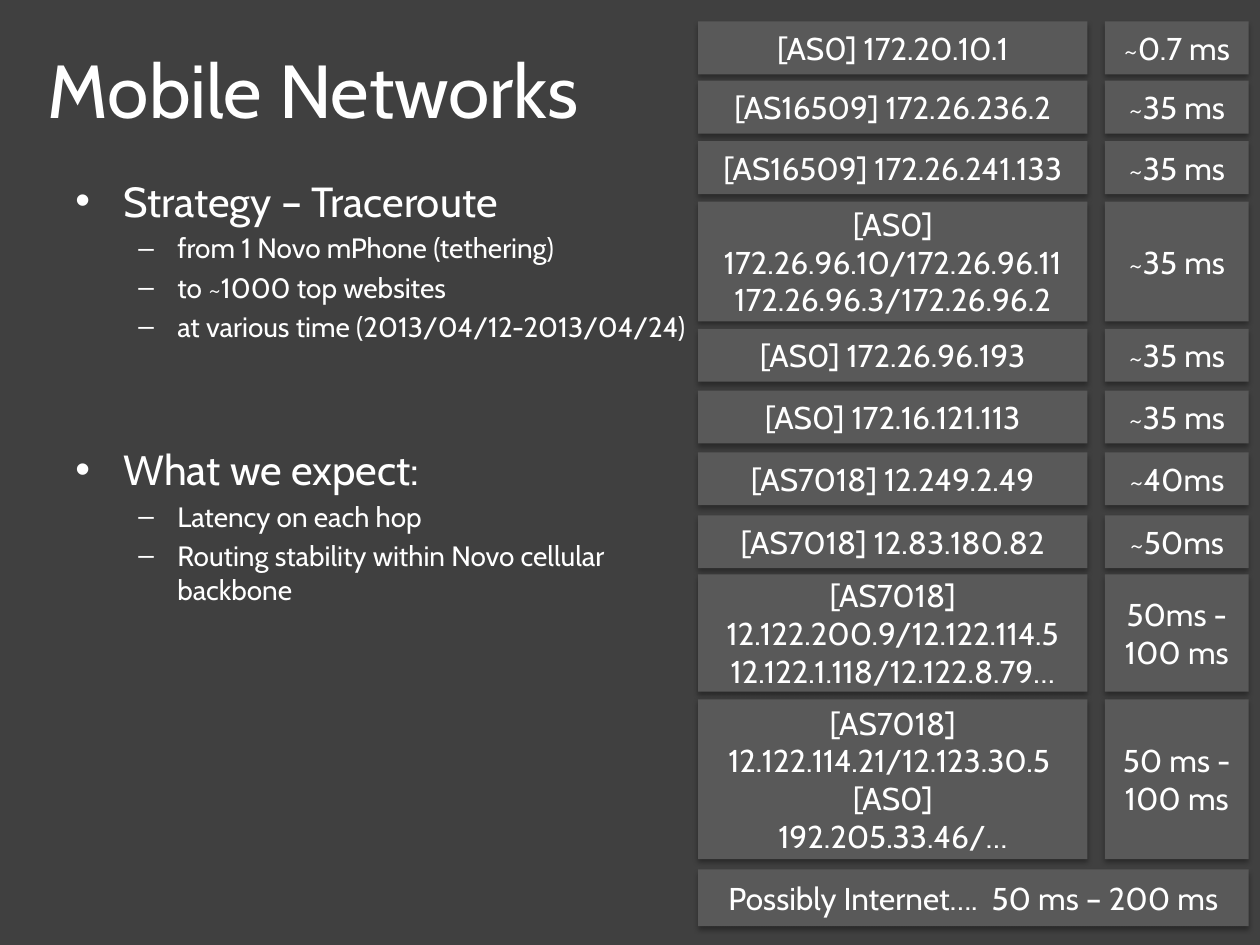
from dataclasses import dataclass

import lxml.etree
import pptx
import pptx.dml.color
import pptx.enum.shapes
import pptx.enum.text
import pptx.oxml
import pptx.oxml.ns
import pptx.util

COLORS = {"background": "404040", "panel": "595959", "text": "FFFFFF", "shadow": "000000"}
FONT = "Cabin"
CELL = pptx.util.Inches(0.1)  # the slide is a grid of 100 columns by 75 rows
ADDRESS_COLUMN, ADDRESS_WIDTH = 55.4, 30.9
LATENCY_COLUMN, LATENCY_WIDTH = 87.7, 11.4
SINGLE = 4.2
MIDDLE = pptx.enum.text.MSO_ANCHOR.MIDDLE


@dataclass
class Hop:
    row: float
    addresses: list[str]
    latency: list[str]
    height: float = SINGLE


@dataclass
class Level:
    size: float
    bullet: str
    margin: float
    hanging: float


@dataclass
class Topic:
    row: float
    heading: str
    details: list[str]


HEADING = Level(24, "•", 0.38, 0.38)
DETAIL = Level(16, "–", 0.81, 0.31)

TOPICS = [
    Topic(13.4, "Strategy – Traceroute", [
        "from 1 Novo mPhone (tethering)",
        "to ~1000 top websites",
        "at various time (2013/04/12-2013/04/24)",
    ]),
    Topic(34.7, "What we expect:", [
        "Latency on each hop",
        "Routing stability within Novo cellular backbone",
    ]),
]

HOPS = [
    Hop(1.7, ["[AS0] 172.20.10.1"], ["~0.7 ms"]),
    Hop(6.4, ["[AS16509] 172.26.236.2"], ["~35 ms"]),
    Hop(11.2, ["[AS16509] 172.26.241.133"], ["~35 ms"]),
    Hop(16, ["[AS0] 172.26.96.10/172.26.96.11", "172.26.96.3/172.26.96.2"], ["~35 ms"], 9.5),
    Hop(26.1, ["[AS0] 172.26.96.193"], ["~35 ms"]),
    Hop(31, ["[AS0] 172.16.121.113"], ["~35 ms"]),
    Hop(35.9, ["[AS7018] 12.249.2.49"], ["~40ms"]),
    Hop(40.9, ["[AS7018] 12.83.180.82"], ["~50ms"]),
    Hop(45.6, ["[AS7018]", "12.122.200.9/12.122.114.5", "12.122.1.118/12.122.8.79…"],
        ["50ms -", "100 ms"], 9.3),
    Hop(55.5, ["[AS7018]", "12.122.114.21/12.123.30.5 ", "[AS0]", "192.205.33.46/…"],
        ["50 ms -", "100 ms"], 12.7),
]


def cells(*counts: float) -> list[int]:
    return [round(count * CELL) for count in counts]


def rgb(name: str) -> pptx.dml.color.RGBColor:
    return pptx.dml.color.RGBColor.from_string(COLORS[name])


def apply(target, formats: dict) -> None:
    for name, value in formats.items():
        setattr(target, name, value)


def write(paragraph, text: str, size: float) -> None:
    run = paragraph.add_run()
    run.text = text
    apply(run.font, {"name": FONT, "size": pptx.util.Pt(size)})
    run.font.color.rgb = rgb("text")


def add_shadow(shape) -> None:
    namespace = pptx.oxml.ns.nsdecls("a")
    shape._element.spPr.append(pptx.oxml.parse_xml(
        f'<a:effectLst {namespace}><a:outerShdw blurRad="{pptx.util.Pt(3.1)}" '
        f'dist="{pptx.util.Pt(1.8)}" dir="5400000" rotWithShape="0">'
        f'<a:srgbClr val="{COLORS["shadow"]}"><a:alpha val="35000"/></a:srgbClr>'
        "</a:outerShdw></a:effectLst>"))


def add_panel(slide, column: float, row: float, width: float, height: float,
              lines: list[str]) -> None:
    shape = slide.shapes.add_shape(pptx.enum.shapes.MSO_SHAPE.RECTANGLE,
                                   *cells(column, row, width, height))
    shape.fill.solid()
    shape.fill.fore_color.rgb = rgb("panel")
    shape.line.fill.background()
    add_shadow(shape)
    frame = shape.text_frame
    apply(frame, {"word_wrap": True, "vertical_anchor": MIDDLE})
    for index, line in enumerate(lines):
        paragraph = frame.add_paragraph() if index else frame.paragraphs[0]
        paragraph.alignment = pptx.enum.text.PP_ALIGN.CENTER
        write(paragraph, line, 18)


def add_bullet(paragraph, level: Level) -> None:
    properties = paragraph._p.get_or_add_pPr()
    properties.set("marL", str(pptx.util.Inches(level.margin)))
    properties.set("indent", str(-pptx.util.Inches(level.hanging)))
    font = lxml.etree.SubElement(properties, pptx.oxml.ns.qn("a:buFont"))
    font.set("typeface", "Arial")
    bullet = lxml.etree.SubElement(properties, pptx.oxml.ns.qn("a:buChar"))
    bullet.set("char", level.bullet)


def add_topic(slide, topic: Topic) -> None:
    box = slide.shapes.add_textbox(*cells(5, topic.row, 50.4, 25))
    frame = box.text_frame
    frame.word_wrap = True
    entries = [(topic.heading, HEADING)] + [(detail, DETAIL) for detail in topic.details]
    for index, (text, level) in enumerate(entries):
        paragraph = frame.add_paragraph() if index else frame.paragraphs[0]
        apply(paragraph, {"level": int(level is DETAIL),
                          "space_before": pptx.util.Pt(level.size * 0.2)})
        add_bullet(paragraph, level)
        write(paragraph, text, level.size)


def add_title(slide, text: str) -> None:
    title = slide.shapes.title
    apply(title, dict(zip(("left", "top", "width", "height"), cells(2.8, 3, 97.2, 8.1))))
    apply(title.text_frame, {"word_wrap": True, "vertical_anchor": MIDDLE})
    paragraph = title.text_frame.paragraphs[0]
    paragraph.alignment = pptx.enum.text.PP_ALIGN.LEFT
    write(paragraph, text, 42.9)


def main() -> None:
    presentation = pptx.Presentation()
    apply(presentation, dict(zip(("slide_width", "slide_height"), cells(100, 75))))
    slide = presentation.slides.add_slide(presentation.slide_layouts[5])
    slide.background.fill.solid()
    slide.background.fill.fore_color.rgb = rgb("background")

    add_title(slide, "Mobile Networks")
    for topic in TOPICS:
        add_topic(slide, topic)
    for hop in HOPS:
        add_panel(slide, ADDRESS_COLUMN, hop.row, ADDRESS_WIDTH, hop.height, hop.addresses)
        add_panel(slide, LATENCY_COLUMN, hop.row, LATENCY_WIDTH, hop.height, hop.latency)
    full_width = LATENCY_COLUMN + LATENCY_WIDTH - ADDRESS_COLUMN
    add_panel(slide, ADDRESS_COLUMN, 69, full_width, 4.5,
              ["Possibly Internet….  50 ms – 200 ms"])
    presentation.save("out.pptx")


if __name__ == "__main__":
    main()
